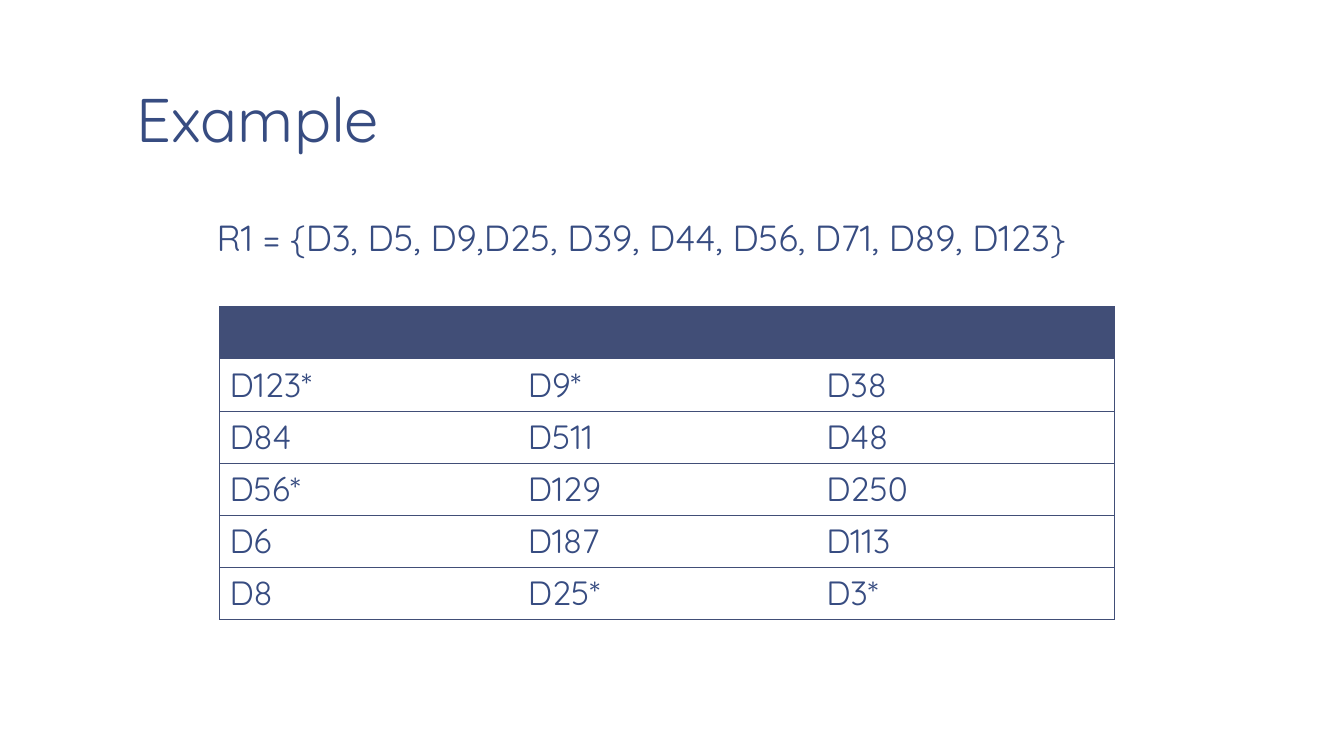
from dataclasses import dataclass
from lxml.etree import SubElement
from pptx import Presentation
from pptx.dml.color import RGBColor
from pptx.enum.text import MSO_ANCHOR, MSO_AUTO_SIZE, PP_ALIGN
from pptx.oxml.ns import qn
from pptx.util import Cm, Pt

TITLE = "Example"
RELEVANT_SET = "R1 = {D3, D5, D9,D25, D39, D44, D56, D71, D89, D123}"
RANKING = [
    ("", "", ""),
    ("D123*", "D9*", "D38"),
    ("D84", "D511", "D48"),
    ("D56*", "D129", "D250"),
    ("D6", "D187", "D113"),
    ("D8", "D25*", "D3*"),
]


@dataclass(frozen=True)
class Theme:
    font: str = "Quicksand"
    ink: str = "374C81"
    band: str = "414E77"
    title_size: float = 44
    body_size: float = 25.9
    cell_size: float = 24
    border: float = 0.5


THEME = Theme()
ROW_HEIGHT = Cm(1.31)
COLUMN_WIDTH = Cm(7.52)


def style_para(para, size):
    for span in para.runs:
        span.font.name = THEME.font
        span.font.size = Pt(size)
        span.font.color.rgb = RGBColor.from_string(THEME.ink)


def fill_placeholder(box, text, place, anchor, size, line_spacing):
    box.left, box.top, box.width, box.height = (Cm(length) for length in place)
    frame = box.text_frame
    frame.text = text
    frame.word_wrap = True
    frame.auto_size = MSO_AUTO_SIZE.NONE
    frame.vertical_anchor = anchor
    frame.margin_left = frame.margin_right = Cm(0.33)
    frame.margin_top = frame.margin_bottom = Cm(0.17)
    para = frame.paragraphs[0]
    para.line_spacing = line_spacing
    style_para(para, size)
    return para


def remove_bullet(para):
    properties = para._p.get_or_add_pPr()
    properties.set("marL", "0")
    properties.set("indent", "0")
    SubElement(properties, qn("a:buNone"))


def draw_borders(cell, visible):
    properties = cell._tc.get_or_add_tcPr()
    for side in "LRTB":
        line = SubElement(properties, qn(f"a:ln{side}"), w=str(Pt(THEME.border)))
        if side in visible:
            fill = SubElement(line, qn("a:solidFill"))
            SubElement(fill, qn("a:srgbClr"), val=THEME.band)
        else:
            SubElement(line, qn("a:noFill"))


def add_ranking(page):
    row_count, column_count = len(RANKING), len(RANKING[0])
    table = page.shapes.add_table(
        row_count, column_count, Cm(5.53), Cm(7.73),
        COLUMN_WIDTH * column_count, ROW_HEIGHT * row_count,
    ).table
    table.first_row = table.horz_banding = False
    for column in table.columns:
        column.width = COLUMN_WIDTH
    for row_index, documents in enumerate(RANKING):
        table.rows[row_index].height = ROW_HEIGHT
        for column_index, document in enumerate(documents):
            cell = table.cell(row_index, column_index)
            left = "L" if column_index == 0 else ""
            right = "R" if column_index == column_count - 1 else ""
            draw_borders(cell, "TB" + left + right)
            if row_index == 0:
                cell.fill.solid()
                cell.fill.fore_color.rgb = RGBColor.from_string(THEME.band)
            else:
                cell.fill.background()
                cell.text_frame.text = document
                style_para(cell.text_frame.paragraphs[0], THEME.cell_size)


def main():
    deck = Presentation()
    deck.slide_width, deck.slide_height = Cm(33.87), Cm(19.05)
    page = deck.slides.add_slide(deck.slide_layouts[1])
    title = fill_placeholder(
        page.shapes.title, TITLE, (3.1, 0.2, 28.22, 3.89),
        MSO_ANCHOR.BOTTOM, THEME.title_size, 0.85,
    )
    title.alignment = PP_ALIGN.LEFT
    body = fill_placeholder(
        page.placeholders[1], RELEVANT_SET, (5.13, 5.33, 25.2, 1.6),
        MSO_ANCHOR.TOP, THEME.body_size, 0.95,
    )
    body.alignment = PP_ALIGN.JUSTIFY
    body.space_before = Pt(18.7)
    remove_bullet(body)
    add_ranking(page)
    deck.save("out.pptx")


if __name__ == "__main__":
    main()
